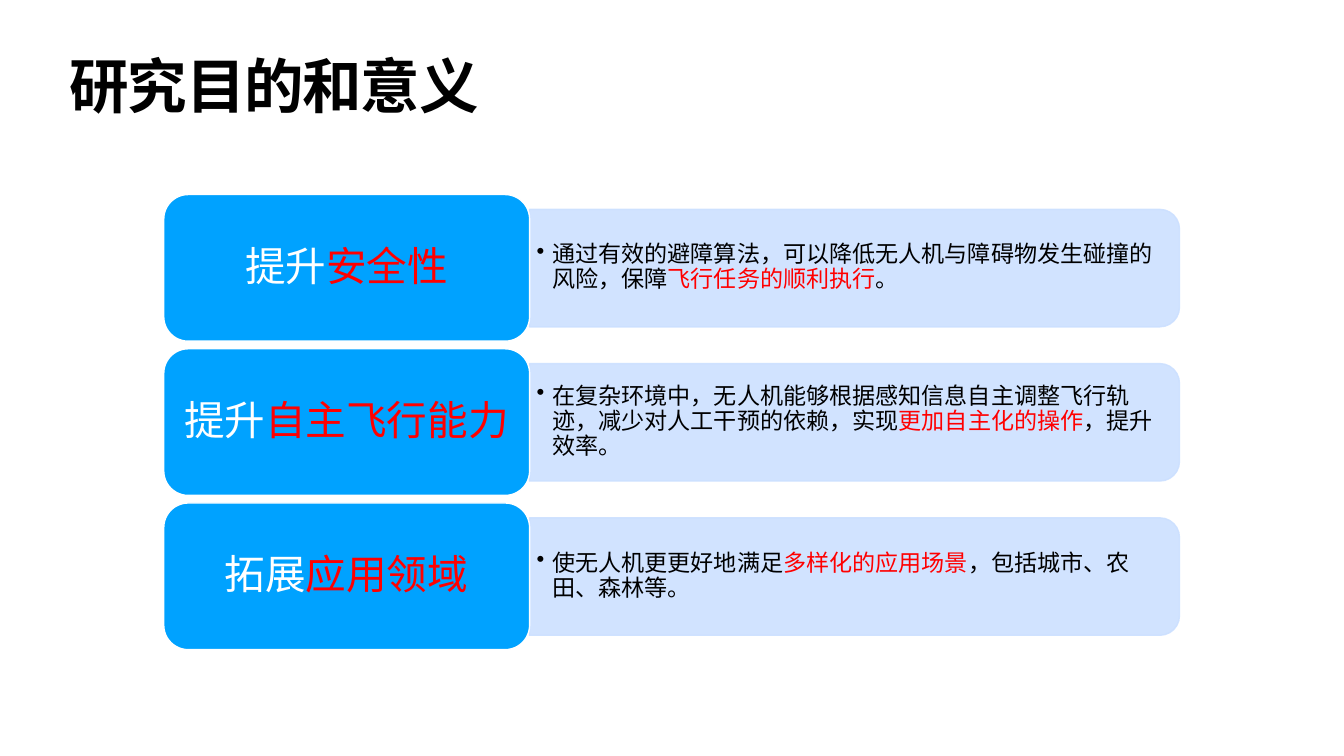
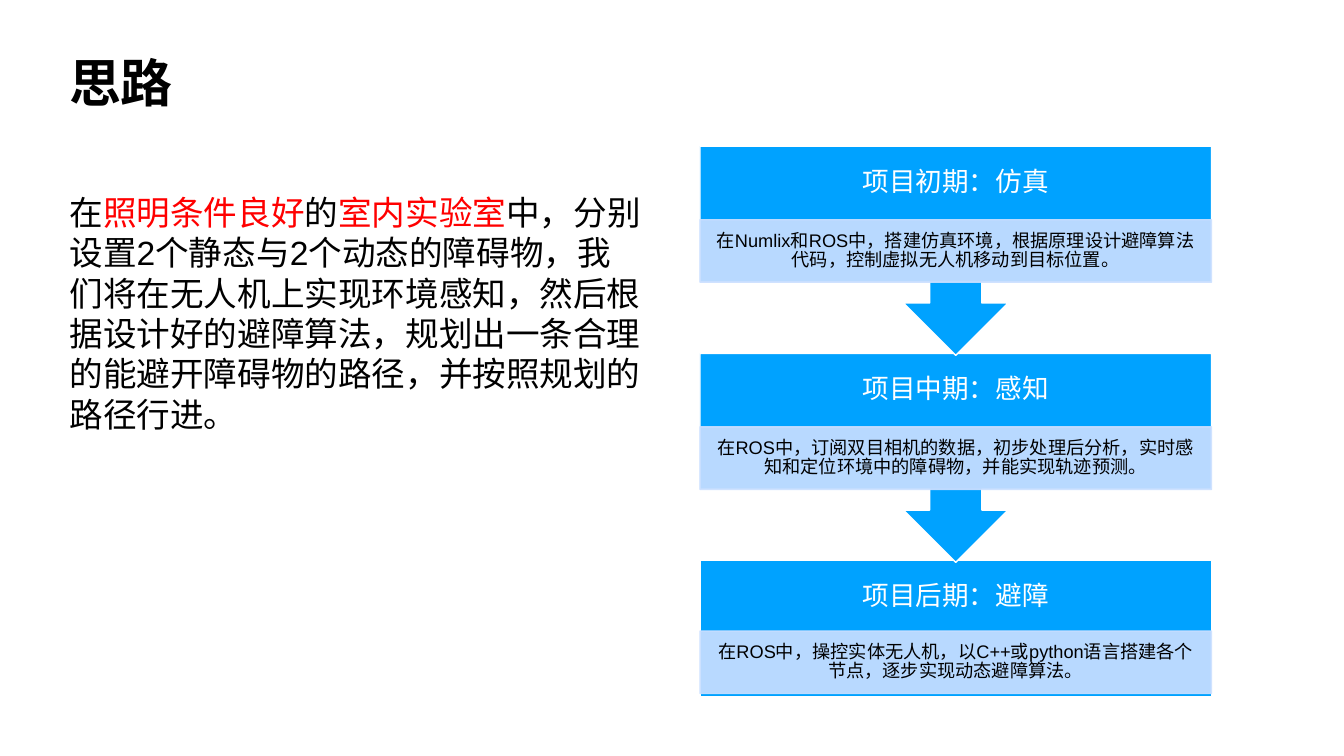
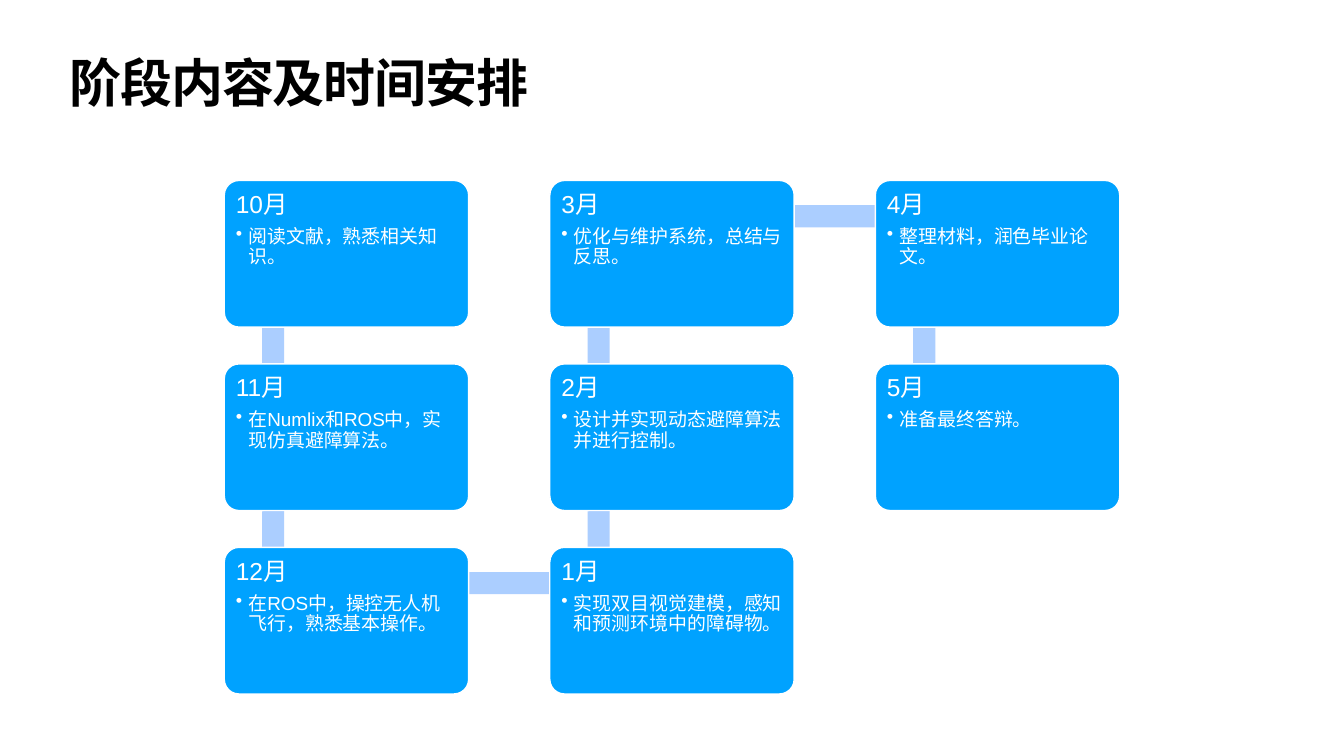
from pptx import Presentation, util as u
from pptx.dml.color import RGBColor
from pptx.enum import shapes, text
from pptx.oxml import ns, xmlchemy

PX = 9144  # 100 px to the inch
BLACK, WHITE, RED = "000000", "FFFFFF", "FF0000"
BLUE, PALE, LINK = "00A2FF", "CCE0FF", "ABCEFF"
KIND = shapes.MSO_SHAPE
CENTER = text.PP_ALIGN.CENTER

PURPOSES = [  # words between asterisks are red
    ("提升*安全性*",
     "通过有效的避障算法，可以降低无人机与障碍物发生碰撞的风险，保障*飞行任务的顺利执行*。"),
    ("提升*自主飞行能力*",
     "在复杂环境中，无人机能够根据感知信息自主调整飞行轨迹，减少对人工干预的依赖，"
     "实现*更加自主化的操作*，提升效率。"),
    ("拓展*应用领域*",
     "使无人机更更好地满足*多样化的应用场景*，包括城市、农田、森林等。"),
]
APPROACH = ("在*照明条件良好*的*室内实验室*中，分别设置2个静态与2个动态的障碍物，"
            "我们将在无人机上实现环境感知，然后根据设计好的避障算法，"
            "规划出一条合理的能避开障碍物的路径，并按照规划的路径行进。")
PHASES = [
    ("项目初期：仿真",
     "在Numlix和ROS中，搭建仿真环境，根据原理设计避障算法代码，控制虚拟无人机移动到目标位置。"),
    ("项目中期：感知",
     "在ROS中，订阅双目相机的数据，初步处理后分析，实时感知和定位环境中的障碍物，并能实现轨迹预测。"),
    ("项目后期：避障",
     "在ROS中，操控实体无人机，以C++或python语言搭建各个节点，逐步实现动态避障算法。"),
]
MONTHS = [
    ("10月", "阅读文献，熟悉相关知识。"),
    ("11月", "在Numlix和ROS中，实现仿真避障算法。"),
    ("12月", "在ROS中，操控无人机飞行，熟悉基本操作。"),
    ("1月", "实现双目视觉建模，感知和预测环境中的障碍物。"),
    ("2月", "设计并实现动态避障算法并进行控制。"),
    ("3月", "优化与维护系统，总结与反思。"),
    ("4月", "整理材料，润色毕业论文。"),
    ("5月", "准备最终答辩。"),
]


def color(value):
    return RGBColor.from_string(value)


def scaled(box):
    return [u.Emu(length * PX) for length in box]


def apply(target, values):
    for name, value in values.items():
        setattr(target, name, value)


def add_panel(page, kind, box, fill, line=None, turn=0, alpha=None, radius=None):
    """Draw a preset shape that covers box once it has been turned."""
    left, top, width, height = box
    if turn in (90, 270):
        shift = (width - height) // 2
        box = left + shift, top - shift, height, width
    panel = page.shapes.add_shape(kind, *scaled(box))
    panel.rotation = turn
    panel.shadow.inherit = False
    panel.fill.solid()
    panel.fill.fore_color.rgb = color(fill)
    if line:
        panel.line.color.rgb = color(line)
        panel.line.width = u.Pt(2)
    else:
        panel.line.fill.background()
    if radius is not None:
        panel.adjustments[0] = radius
    if alpha:
        for tint in panel._element.spPr.iter(ns.qn("a:srgbClr")):
            opacity = xmlchemy.OxmlElement("a:alpha")
            opacity.set("val", str(alpha * 1000))
            tint.append(opacity)


def add_frame(page, box, insets, anchor=text.MSO_ANCHOR.MIDDLE):
    frame = page.shapes.add_textbox(*scaled(box)).text_frame
    across, down = scaled(insets)
    apply(frame, {"word_wrap": True, "vertical_anchor": anchor,
                  "margin_left": across, "margin_right": across,
                  "margin_top": down, "margin_bottom": down})
    return frame


def write(para, words, size, ink, bold=None, tracking=None, indent=0, **layout):
    """Fill a paragraph; an indent also gives it a bullet."""
    apply(para, layout)
    if indent:
        para.level = 1
        props = para._p.get_or_add_pPr()
        props.set("marL", str(indent * PX))
        props.set("indent", str(-indent * PX))
        props.set("hangingPunct", "0")
        bullet = xmlchemy.OxmlElement("a:buChar")
        bullet.set("char", "•")
        props.append(bullet)
    for index, part in enumerate(words.split("*")):
        if not part:
            continue
        span = para.add_run()
        span.text = part
        apply(span.font, {"name": "Arial", "size": u.Pt(size), "bold": bold})
        span.font.color.rgb = color(RED if index % 2 else ink)
        if tracking:
            span._r.get_or_add_rPr().set("spc", str(tracking))


def add_page(deck, title, size, tracking):
    page = deck.slides.add_slide(deck.slide_layouts[6])
    frame = add_frame(page, (132, 118, 2403, 157), (6, 6), text.MSO_ANCHOR.TOP)
    write(frame.paragraphs[0], title, size, BLACK, True, tracking, line_spacing=0.8)
    return page


def add_purpose(page, box, name, detail):
    left, top, width, height = box
    label = 726
    # Detail band
    add_panel(page, KIND.ROUND_2_SAME_RECTANGLE,
              (left + label, top + 29, width - label, 233), PALE, PALE, 90, 90)
    frame = add_frame(page, (left + label, top + 40, width - label - 11, 210), (14, 7))
    write(frame.paragraphs[0], detail, 33, BLACK, indent=31, line_spacing=0.9)
    # Label
    add_panel(page, KIND.ROUNDED_RECTANGLE, (left, top, label, height), BLUE, WHITE)
    frame = add_frame(page, (left + 14, top + 14, label - 29, height - 28), (24, 12))
    write(frame.paragraphs[0], name, 58, WHITE, alignment=CENTER, line_spacing=0.9)


def add_phase(page, box, name, detail, last):
    left, top, width, height = box
    # Block, with an arrow to the next phase
    if last:
        add_panel(page, KIND.RECTANGLE, (left, top, width, 270), BLUE, WHITE)
    else:
        add_panel(page, KIND.UP_ARROW_CALLOUT, box, BLUE, WHITE, 180)
    frame = add_frame(page, (left, top, width, 146), (30, 30))
    write(frame.paragraphs[0], name, 38, WHITE, alignment=CENTER, line_spacing=0.9)
    # Detail band
    band = left, top + (140 if last else 146), width, 124
    add_panel(page, KIND.RECTANGLE, band, PALE, PALE, alpha=90)
    frame = add_frame(page, band, (20, 4))
    write(frame.paragraphs[0], detail, 26, BLACK, alignment=CENTER, line_spacing=0.9)


def add_month(page, box, name, task):
    left, top, width, height = box
    add_panel(page, KIND.ROUNDED_RECTANGLE, box, BLUE, WHITE, radius=0.1)
    frame = add_frame(page, (left + 8, top + 8, width - 17, height - 17), (15, 15),
                      text.MSO_ANCHOR.TOP)
    write(frame.paragraphs[0], name, 35, WHITE, line_spacing=0.9,
          space_after=u.Pt(12))
    write(frame.add_paragraph(), task, 27, WHITE, indent=25, line_spacing=0.9)


def build_purposes(deck):
    page = add_page(deck, "研究目的和意义", 85, -170)
    for row, (name, detail) in enumerate(PURPOSES):
        add_purpose(page, (325, 386 + 306 * row, 2016, 291), name, detail)


def build_approach(deck):
    page = add_page(deck, "思路", 74.2, -150)
    frame = add_frame(page, (132, 375, 1146, 896), (6, 6), text.MSO_ANCHOR.TOP)
    write(frame.paragraphs[0], APPROACH, 48, BLACK, space_before=u.Pt(45))
    # Later phases lie under the arrows of earlier ones
    for row, (name, detail) in reversed(list(enumerate(PHASES))):
        add_phase(page, (1389, 290 + 411 * row, 1015, 415), name, detail,
                  row == len(PHASES) - 1)


def build_schedule(deck):
    page = add_page(deck, "阶段内容及时间安排", 74.2, -150)
    rows, across, down, thick = 3, 646, 364, 44
    for index, (name, task) in enumerate(MONTHS):
        # The path runs down one column and up the next
        column, step = divmod(index, rows)
        upward = column % 2 == 1
        row = rows - 1 - step if upward else step
        left, top = 445 + across * column, 358 + down * row
        # Link to the next month
        if index < len(MONTHS) - 1:
            if step == rows - 1:
                add_panel(page, KIND.RECTANGLE,
                          (left + 98, top + 49, across - 2, thick), LINK)
            else:
                start = top - down if upward else top
                add_panel(page, KIND.RECTANGLE,
                          (left + 75, start + 71, thick, down), LINK,
                          turn=270 if upward else 90)
        add_month(page, (left, top, 485, 291), name, task)


def main():
    deck = Presentation()
    deck.slide_width, deck.slide_height = scaled((2667, 1500))
    build_purposes(deck)
    build_approach(deck)
    build_schedule(deck)
    deck.save("out.pptx")


if __name__ == "__main__":
    main()
